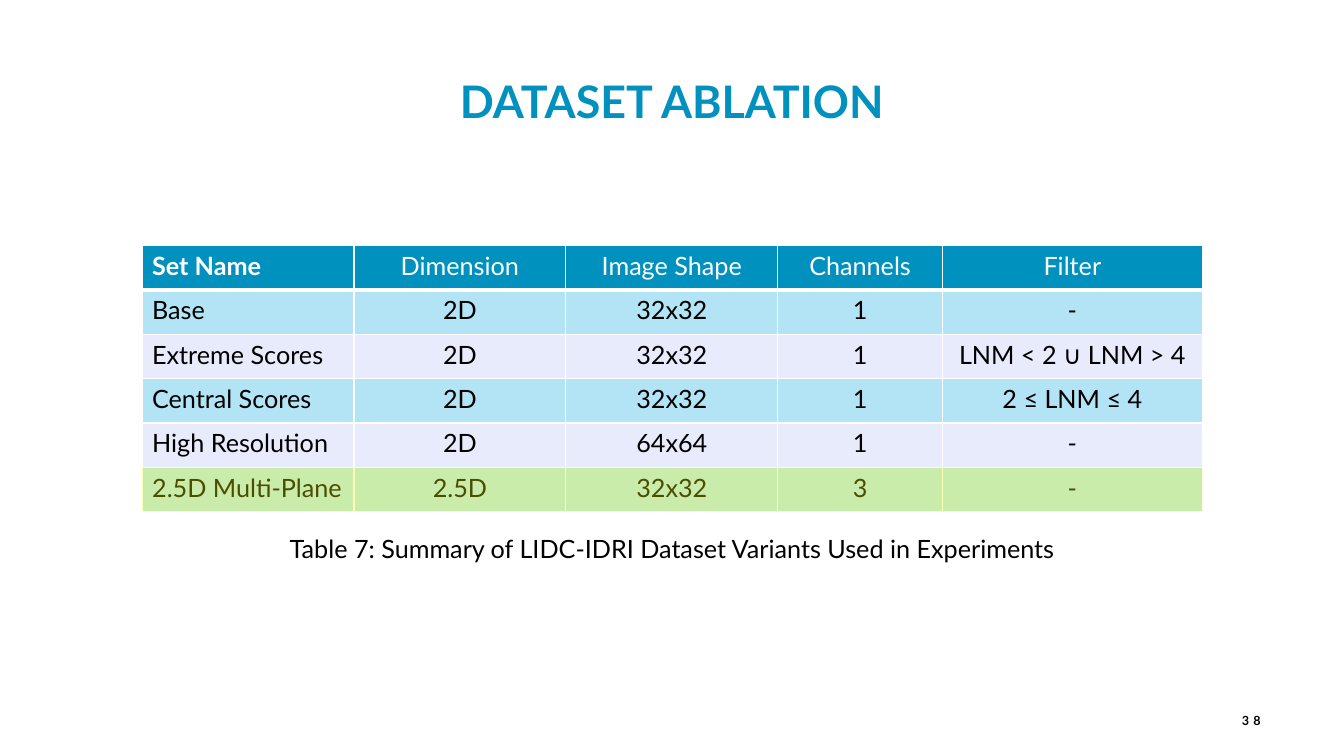
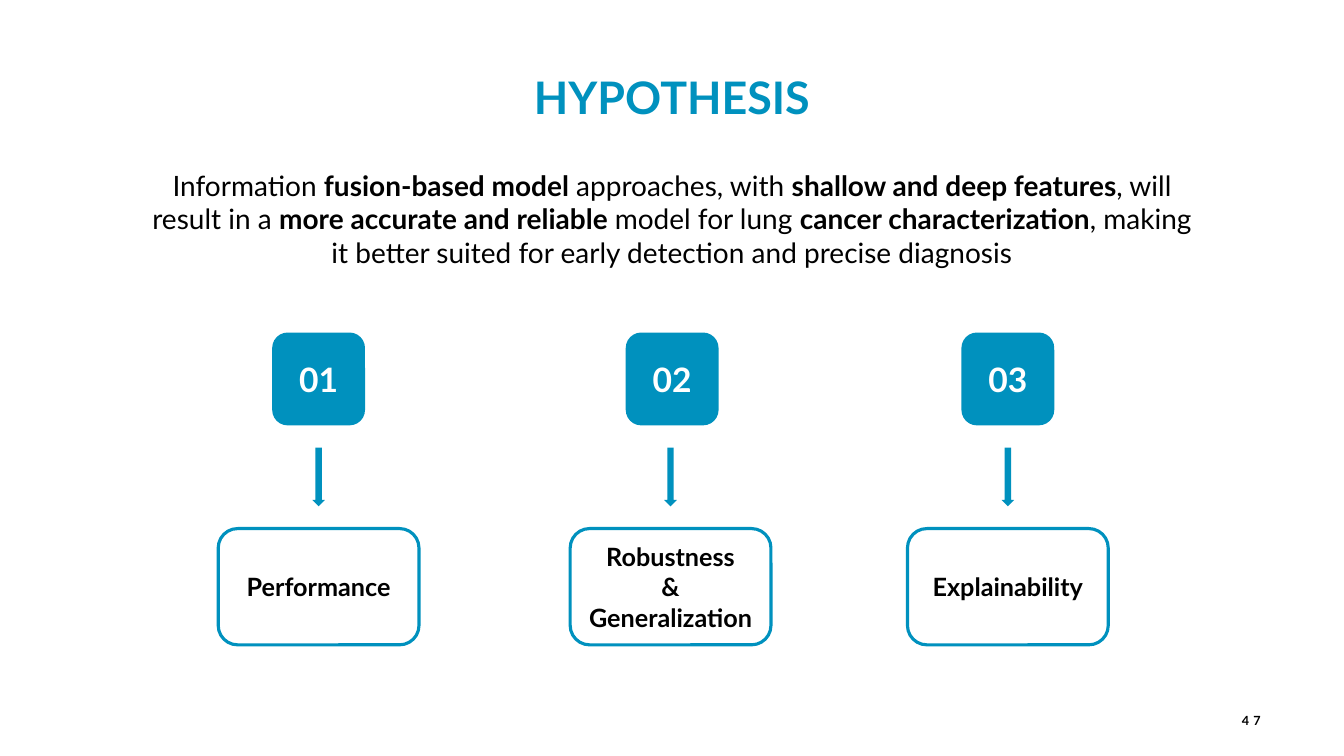
from lxml import etree
from pptx import Presentation
from pptx.dml.color import RGBColor
from pptx.enum.shapes import MSO_SHAPE
from pptx.enum.text import MSO_ANCHOR, PP_ALIGN
from pptx.oxml.ns import qn
from pptx.util import Cm, Pt

LEFT, CENTER, RIGHT = PP_ALIGN.LEFT, PP_ALIGN.CENTER, PP_ALIGN.RIGHT
TOP, MIDDLE = MSO_ANCHOR.TOP, MSO_ANCHOR.MIDDLE
RECTANGLE, ROUNDED = MSO_SHAPE.RECTANGLE, MSO_SHAPE.ROUNDED_RECTANGLE
DOWN_ARROW = MSO_SHAPE.DOWN_ARROW

BLUE = RGBColor(0x00, 0x91, 0xBE)
SKY = RGBColor(0xB2, 0xE4, 0xF5)
LAVENDER = RGBColor(0xE8, 0xEB, 0xFB)
YELLOW = RGBColor(0xFF, 0xFF, 0x00)
WHITE = RGBColor(0xFF, 0xFF, 0xFF)
BLACK = RGBColor(0x00, 0x00, 0x00)
FONT = "Lato"

WIDTH, HEIGHT = 33.87, 19.05


def write(frame, text, size=18, color=BLACK, bold=False, align=CENTER,
          anchor=TOP, spacing=0):
    """Fill a text frame, one paragraph a line; *stars* enclose bold words."""
    frame.word_wrap = True
    frame.vertical_anchor = anchor
    for number, line in enumerate(text.split("\n")):
        para = frame.add_paragraph() if number else frame.paragraphs[0]
        para.alignment = align
        for index, words in enumerate(line.split("*")):
            span = para.add_run()
            span.text = words
            span.font.name = FONT
            span.font.size = Pt(size)
            span.font.bold = bold or index % 2 == 1
            span.font.color.rgb = color
            if spacing:
                span.font._element.set("spc", str(spacing * 100))


def add_shape(page, kind, left, top, width, height, fill=None, line=None):
    shape = page.shapes.add_shape(kind, Cm(left), Cm(top), Cm(width), Cm(height))
    shape.shadow.inherit = False
    if fill is None:
        shape.fill.background()
    else:
        shape.fill.solid()
        shape.fill.fore_color.rgb = fill
    if line is None:
        shape.line.fill.background()
    else:
        shape.line.color.rgb = line
        shape.line.width = Pt(2.25)
    return shape


deck = Presentation()
deck.slide_width, deck.slide_height = Cm(WIDTH), Cm(HEIGHT)

# Title and page number of every slide
pages = []
for title, title_top, number in [("DATASET ABLATION", 1.73, "38"),
                                 ("HYPOTHESIS", 1.62, "47")]:
    page = deck.slides.add_slide(deck.slide_layouts[6])
    box = page.shapes.add_textbox(Cm(0), Cm(title_top), Cm(WIDTH), Cm(1.62))
    write(box.text_frame, title, size=32, color=BLUE, bold=True)
    box = page.shapes.add_textbox(Cm(30.02), Cm(17.65), Cm(2), Cm(1.02))
    write(box.text_frame, number, size=9, bold=True, align=RIGHT,
          anchor=MIDDLE, spacing=3)
    pages.append(page)
ablation, hypothesis = pages

# Dataset table
ROWS = [
    ["Set Name", "Dimension", "Image Shape", "Channels", "Filter"],
    ["Base", "2D", "32x32", "1", "-"],
    ["Extreme Scores", "2D", "32x32", "1", "LNM < 2 ∪ LNM > 4"],
    ["Central Scores", "2D", "32x32", "1", "2 ≤ LNM ≤ 4"],
    ["High Resolution", "2D", "64x64", "1", "-"],
    ["2.5D Multi-Plane", "2.5D", "32x32", "3", "-"],
]
COLUMN_WIDTHS = [5.34, 5.34, 5.34, 4.15, 6.55]
TABLE_LEFT, TABLE_TOP, ROW_HEIGHT = 3.58, 6.18, 1.12
TABLE_WIDTH = sum(COLUMN_WIDTHS)

table = ablation.shapes.add_table(
    len(ROWS), len(COLUMN_WIDTHS), Cm(TABLE_LEFT), Cm(TABLE_TOP),
    Cm(TABLE_WIDTH), Cm(ROW_HEIGHT * len(ROWS))).table
for column, width in zip(table.columns, COLUMN_WIDTHS):
    column.width = Cm(width)
for row_index, texts in enumerate(ROWS):
    table.rows[row_index].height = Cm(ROW_HEIGHT)
    header = row_index == 0
    for column_index, text in enumerate(texts):
        cell = table.cell(row_index, column_index)
        first = column_index == 0
        write(cell.text_frame, text, color=WHITE if header else BLACK,
              bold=header and first, align=LEFT if first else CENTER)
        properties = cell._tc.get_or_add_tcPr()
        thick_side = {0: "lnB", 1: "lnT"}.get(row_index)
        for side in ("lnL", "lnR", "lnT", "lnB"):
            weight = Pt(3 if side == thick_side else 1)
            border = etree.SubElement(properties, qn("a:" + side), w=str(weight))
            paint = etree.SubElement(border, qn("a:solidFill"))
            etree.SubElement(paint, qn("a:srgbClr"), val=str(WHITE))
        cell.fill.solid()
        cell.fill.fore_color.rgb = (
            BLUE if header else SKY if row_index % 2 else LAVENDER)

last_row_top = TABLE_TOP + ROW_HEIGHT * (len(ROWS) - 1)
highlight = add_shape(ablation, RECTANGLE, TABLE_LEFT, last_row_top,
                      TABLE_WIDTH, ROW_HEIGHT, fill=YELLOW)
tint = highlight._element.spPr.find(".//" + qn("a:srgbClr"))
etree.SubElement(tint, qn("a:alpha"), val="30000")

caption = ablation.shapes.add_textbox(Cm(TABLE_LEFT), Cm(13.31),
                                      Cm(TABLE_WIDTH), Cm(1.02))
write(caption.text_frame,
      "Table 7: Summary of LIDC-IDRI Dataset Variants Used in Experiments")

# Hypothesis statement and its three aims
statement = hypothesis.shapes.add_textbox(Cm(3.5), Cm(4.11), Cm(26.87), Cm(2.82))
write(statement.text_frame,
      "Information *fusion-based model *approaches, with "
      "*shallow and deep features*, will result in a "
      "*more accurate and reliable *model for lung "
      "*cancer characterization*, making it better suited for early "
      "detection and precise diagnosis", size=20)

BADGE, ARROW_WIDTH, AIM_WIDTH = 2.34, 0.32, 5.06
AIMS = [
    (8.03, 8.03, "Performance"),
    (16.94, 16.9, "Robustness\n&\nGeneralization"),
    (25.4, 25.4, "Explainability"),
]
for number, (badge_center, center, aim) in enumerate(AIMS, start=1):
    badge = add_shape(hypothesis, ROUNDED, badge_center - BADGE / 2, 8.38,
                      BADGE, BADGE, fill=BLUE)
    write(badge.text_frame, f"{number:02}", size=24, color=WHITE, bold=True,
          anchor=MIDDLE)
    add_shape(hypothesis, DOWN_ARROW, center - ARROW_WIDTH / 2, 11.28,
              ARROW_WIDTH, 1.48, fill=BLUE)
    aim_box = add_shape(hypothesis, ROUNDED, center - AIM_WIDTH / 2, 13.32,
                        AIM_WIDTH, 2.93, line=BLUE)
    write(aim_box.text_frame, aim, bold=True, anchor=MIDDLE)

deck.save("out.pptx")
